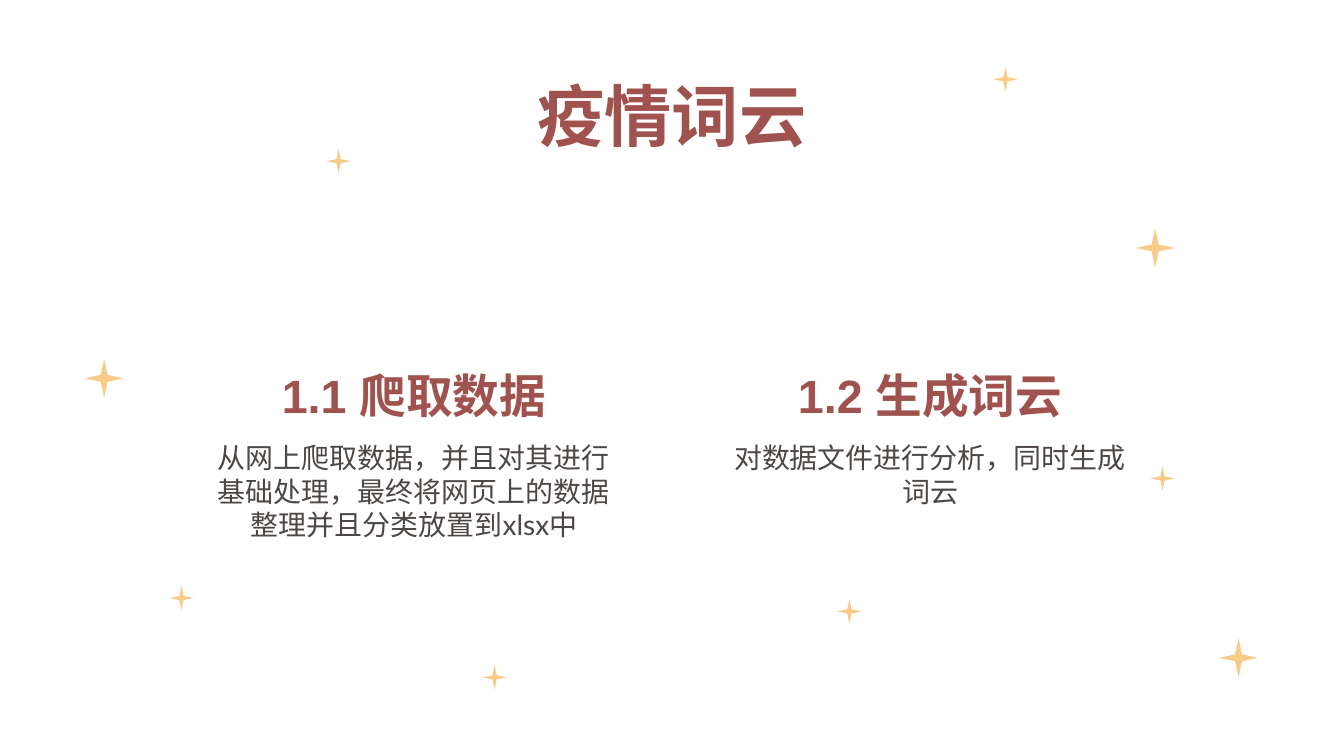
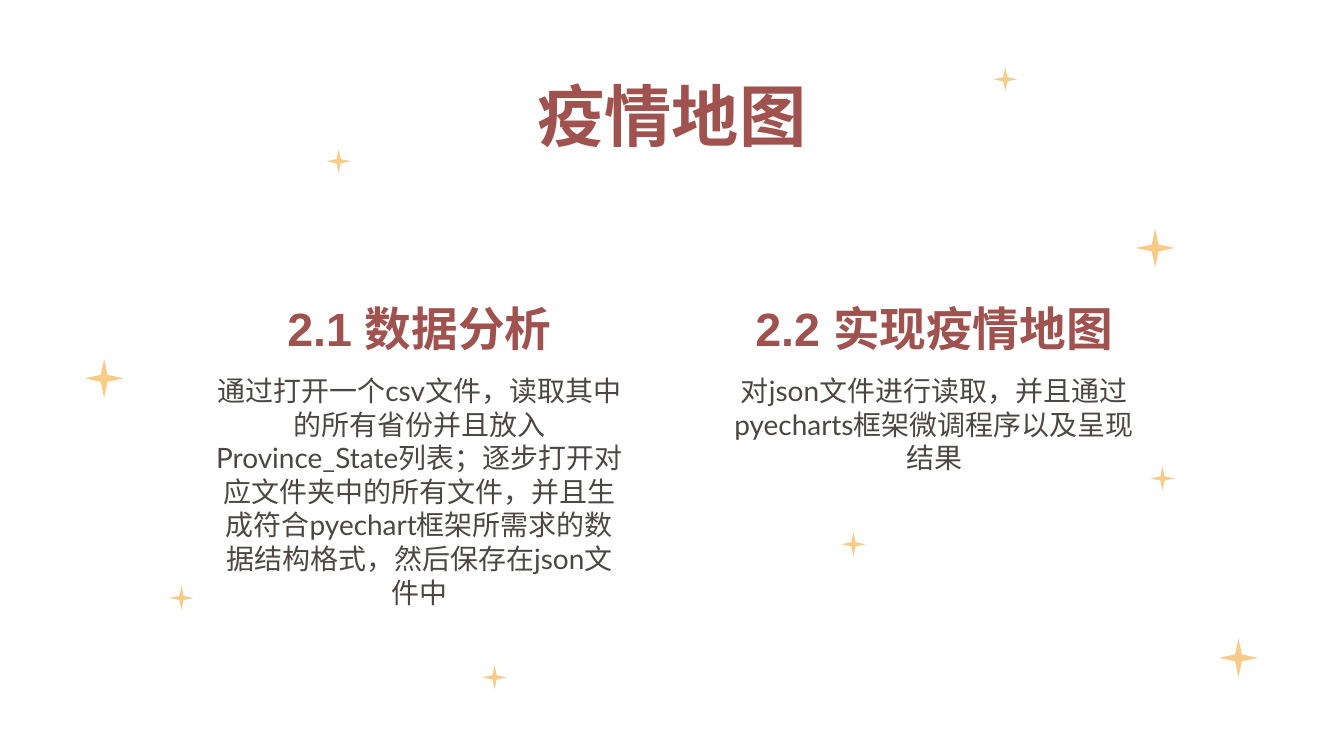
import dataclasses

import pptx
import pptx.dml.color
import pptx.enum.shapes
import pptx.enum.text
import pptx.presentation
import pptx.slide
import pptx.util

Inches = pptx.util.Inches
Pt = pptx.util.Pt
ANCHOR = pptx.enum.text.MSO_ANCHOR

# Shared look
PAGE_WIDTH = Inches(10)
PAGE_HEIGHT = PAGE_WIDTH * 9 // 16
PAPER, STAR_GOLD, BRICK, INK = "FFFFFF", "F8CB89", "A0524E", "4C4744"
INSET = 0.1
COLUMN_WIDTH = 3.24
HEADING_HEIGHT, BODY_HEIGHT = 0.48, 1.23
LARGE, SMALL = 0.29, 0.18


@dataclasses.dataclass(frozen=True)
class TextStyle:
    font: dict[str, object]
    colour: str
    anchor: ANCHOR


@dataclasses.dataclass(frozen=True)
class Star:
    left: float
    top: float
    size: float = SMALL


@dataclasses.dataclass(frozen=True)
class Topic:
    left: float
    heading: str
    body: str


@dataclasses.dataclass(frozen=True)
class Section:
    title: str
    top: float
    topics: tuple[Topic, ...]


TITLE = TextStyle({"name": "Arial", "size": Pt(36), "bold": True}, BRICK, ANCHOR.MIDDLE)
HEADING = TextStyle({"name": "Arial", "size": Pt(25), "bold": True}, BRICK, ANCHOR.MIDDLE)
BODY = TextStyle({"name": "Lato", "size": Pt(15), "bold": False}, INK, ANCHOR.TOP)

STARS = (
    Star(9.07, 4.75, LARGE),
    Star(0.63, 2.67, LARGE),
    Star(8.45, 1.7, LARGE),
    Star(3.59, 4.95),
    Star(1.26, 4.36),
    Star(8.56, 3.47),
    Star(2.43, 1.11),
    Star(7.39, 0.5),
)

SECTIONS = (
    Section("疫情词云", 2.7, (
        Topic(1.46, "1.1 爬取数据",
              "从网上爬取数据，并且对其进行基础处理，"
              "最终将网页上的数据整理并且分类放置到xlsx中"),
        Topic(5.3, "1.2 生成词云", "对数据文件进行分析，同时生成词云"),
    )),
    Section("疫情地图", 2.2, (
        Topic(1.5, "2.1 数据分析",
              "通过打开一个csv文件，读取其中的所有省份并且放入Province_State列表；"
              "逐步打开对应文件夹中的所有文件，并且生成符合pyechart框架所需求的"
              "数据结构格式，然后保存在json文件中"),
        Topic(5.33, "2.2 实现疫情地图",
              "对json文件进行读取，并且通过pyecharts框架微调程序以及呈现结果"),
    )),
)


def rgb(colour: str) -> pptx.dml.color.RGBColor:
    return pptx.dml.color.RGBColor.from_string(colour)


def add_star(page: pptx.slide.Slide, star: Star) -> None:
    shape = page.shapes.add_shape(
        pptx.enum.shapes.MSO_SHAPE.STAR_4_POINT,
        Inches(star.left), Inches(star.top), Inches(star.size), Inches(star.size))
    shape.adjustments[0] = 0.125
    shape.shadow.inherit = False
    shape.fill.solid()
    shape.fill.fore_color.rgb = rgb(STAR_GOLD)
    shape.line.fill.background()


def add_text(page: pptx.slide.Slide, text: str, style: TextStyle,
             left: float, top: float, width: float, height: float) -> None:
    box = page.shapes.add_textbox(Inches(left), Inches(top), Inches(width), Inches(height))
    frame = box.text_frame
    frame.word_wrap = True
    frame.vertical_anchor = style.anchor
    for side in ("left", "top", "right", "bottom"):
        setattr(frame, f"margin_{side}", Inches(INSET))
    para = frame.paragraphs[0]
    para.alignment = pptx.enum.text.PP_ALIGN.CENTER
    span = para.add_run()
    span.text = text
    for name, value in style.font.items():
        setattr(span.font, name, value)
    span.font.color.rgb = rgb(style.colour)


def add_section(deck: pptx.presentation.Presentation, section: Section) -> None:
    page = deck.slides.add_slide(deck.slide_layouts[6])
    page.background.fill.solid()
    page.background.fill.fore_color.rgb = rgb(PAPER)

    # Scattered stars, with one that follows the second column
    for star in STARS:
        add_star(page, star)
    add_star(page, Star(section.topics[1].left + 0.93, section.top + 1.76))

    # Title and topic columns
    add_text(page, section.title, TITLE, 0.78, 0.59, 8.44, 0.52)
    for topic in section.topics:
        add_text(page, topic.heading, HEADING, topic.left, section.top,
                 COLUMN_WIDTH, HEADING_HEIGHT)
        add_text(page, topic.body, BODY, topic.left, section.top + HEADING_HEIGHT,
                 COLUMN_WIDTH, BODY_HEIGHT)


def main() -> None:
    deck = pptx.Presentation()
    deck.slide_width, deck.slide_height = PAGE_WIDTH, PAGE_HEIGHT
    for section in SECTIONS:
        add_section(deck, section)
    deck.save("out.pptx")


if __name__ == "__main__":
    main()
